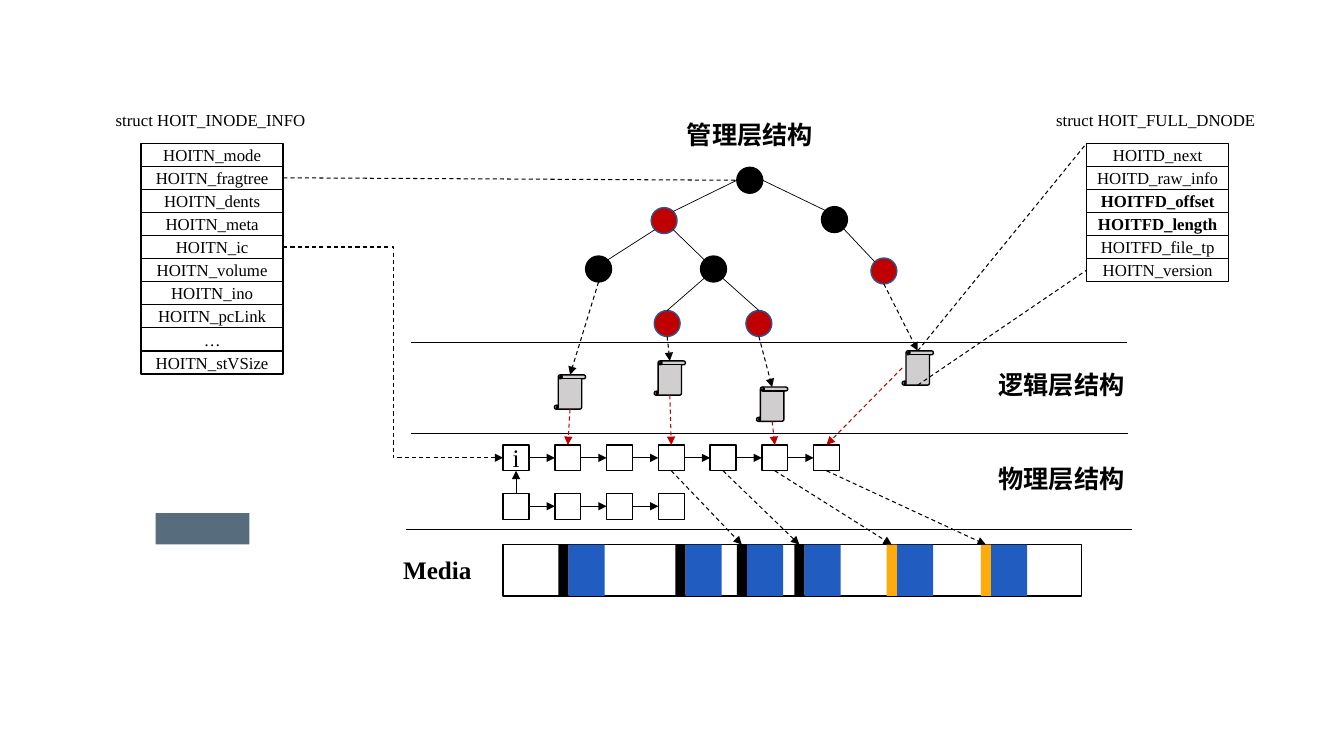
from dataclasses import dataclass

from lxml import etree
from pptx import Presentation
from pptx.dml.color import RGBColor
from pptx.enum.dml import MSO_LINE
from pptx.enum.shapes import MSO_CONNECTOR, MSO_SHAPE
from pptx.enum.text import MSO_ANCHOR, PP_ALIGN
from pptx.oxml.ns import qn
from pptx.util import Pt

RECTANGLE, OVAL, SCROLL = MSO_SHAPE.RECTANGLE, MSO_SHAPE.OVAL, MSO_SHAPE.VERTICAL_SCROLL
STRAIGHT, ELBOW = MSO_CONNECTOR.STRAIGHT, MSO_CONNECTOR.ELBOW
DASH = MSO_LINE.DASH
LEFT, CENTER = PP_ALIGN.LEFT, PP_ALIGN.CENTER
TOP, MIDDLE = MSO_ANCHOR.TOP, MSO_ANCHOR.MIDDLE


@dataclass(frozen=True)
class Theme:
    black: str = "000000"
    white: str = "FFFFFF"
    red: str = "C00000"
    red_outline: str = "325491"
    scroll: str = "D0CECE"
    data: str = "215CC1"
    gold: str = "FFAB0B"
    slate: str = "576D7E"
    serif: str = "Times New Roman"
    sans: str = "Noto Sans CJK SC"
    small: int = 12
    large: int = 18
    outline: float = 1
    dashed: float = 0.75
    thin: float = 0.5


THEME = Theme()

INODE_FIELDS = ["HOITN_mode", "HOITN_fragtree", "HOITN_dents", "HOITN_meta", "HOITN_ic",
                "HOITN_volume", "HOITN_ino", "HOITN_pcLink", "…", "HOITN_stVSize"]
DNODE_FIELDS = ["HOITD_next", "HOITD_raw_info", "HOITFD_offset", "HOITFD_length",
                "HOITFD_file_tp", "HOITN_version"]
BOLD_FIELDS = {"HOITFD_offset", "HOITFD_length"}
STRUCT_TITLES = [("struct HOIT_INODE_INFO", 75.6, 152), ("struct HOIT_FULL_DNODE", 747.4, 160)]
LAYER_TITLES = [("管理层结构", 481.7, 81.4), ("逻辑层结构", 704.2, 260.6), ("物理层结构", 704.2, 327.6)]
DIVIDERS = [(293.8, 805, 244.8), (293.8, 805.7, 309.6), (290.2, 808.6, 378)]

TREE_NODES = {
    "root": (526.3, 119.5, THEME.black),
    "left": (465.1, 148.3, THEME.red),
    "right": (586.8, 147.6, THEME.black),
    "left outer": (418.3, 182.9, THEME.black),
    "left inner": (500.4, 182.9, THEME.black),
    "right outer": (622.1, 184.3, THEME.red),
    "inner low": (467.3, 221.8, THEME.red),
    "inner high": (532.8, 221.8, THEME.red),
}
TREE_EDGES = [
    ("root", "left", "left", "top right"),
    ("root", "right", "right", "top left"),
    ("left", "bottom left", "left outer", "top right"),
    ("left", "bottom right", "left inner", "top left"),
    ("left inner", "bottom left", "inner low", "top"),
    ("left inner", "bottom right", "inner high", "top"),
    ("right", "bottom right", "right outer", "top left"),
]
SCROLLS = [
    ("left outer", 396, 267.8, 1, "bottom"),
    ("inner low", 467.3, 257.8, 3, "bottom"),
    ("inner high", 540.4, 276.5, 5, "bottom"),
    ("right outer", 644.4, 250.6, 6, "left"),
]
MEDIA_BLOCKS = [(398.9, THEME.black), (482.4, THEME.black), (526.3, THEME.black),
                (567.4, THEME.black), (633.4, THEME.gold), (700.6, THEME.gold)]
MEDIA_TARGETS = {3: 2, 4: 3, 5: 4, 6: 5}

FIELD_WIDTH, FIELD_HEIGHT, FIELD_TOP = 101.5, 16.48, 102.3
INODE_LEFT, DNODE_LEFT = 100.8, 776.2
NODE_SIZE = 18.5
CHAIN_LEFT, CHAIN_STEP = 359.4, 36.96
MEDIA_TOP, MEDIA_HEIGHT, HEADER_WIDTH = 389, 36.7, 7.2

SITES = {"top": 0, "left": 1, "bottom": 2, "right": 3}
ANCHORS = {
    "top": (0.5, 0), "left": (0, 0.5), "bottom": (0.5, 1), "right": (1, 0.5),
    "top left": (0.15, 0.15), "top right": (0.85, 0.15),
    "bottom left": (0.15, 0.85), "bottom right": (0.85, 0.85),
}

deck = Presentation()
deck.slide_width, deck.slide_height = Pt(960), Pt(540)
page = deck.slides.add_slide(deck.slide_layouts[6])


def write(box, text, size=THEME.small, font=THEME.serif, color=THEME.black, bold=False,
          align=CENTER, anchor=MIDDLE, inset=0):
    frame = box.text_frame
    frame.word_wrap = True
    frame.vertical_anchor = anchor
    frame.margin_left = frame.margin_right = Pt(inset)
    frame.margin_top = frame.margin_bottom = Pt(inset / 2)
    para = frame.paragraphs[0]
    para.alignment = align
    span = para.add_run()
    span.text = text
    span.font.size = Pt(size)
    span.font.bold = bold
    span.font.color.rgb = RGBColor.from_string(color)
    span.font.name = font
    etree.SubElement(span.font._element, qn("a:ea")).set("typeface", font)


def label(text, left, top, width, height, **style):
    box = page.shapes.add_textbox(Pt(left), Pt(top), Pt(width), Pt(height))
    write(box, text, anchor=TOP, inset=7.2, **style)


def draw(kind, left, top, width, height, fill=THEME.white, line=THEME.black):
    shape = page.shapes.add_shape(kind, Pt(left), Pt(top), Pt(width), Pt(height))
    shape.shadow.inherit = False
    shape.fill.solid()
    shape.fill.fore_color.rgb = RGBColor.from_string(fill)
    if line:
        shape.line.color.rgb = RGBColor.from_string(line)
        shape.line.width = Pt(THEME.outline)
    else:
        shape.line.fill.background()
    return shape


def anchor_point(shape, side):
    across, down = ANCHORS[side]
    return shape.left + int(shape.width * across), shape.top + int(shape.height * down)


def connect(start, end, kind=STRAIGHT, color=THEME.black, width=THEME.dashed,
            dashed=False, arrow=False):
    connector = page.shapes.add_connector(kind, *start, *end)
    connector.line.color.rgb = RGBColor.from_string(color)
    connector.line.width = Pt(width)
    if dashed:
        connector.line.dash_style = DASH
    if arrow:
        tail = etree.SubElement(connector.line._get_or_add_ln(), qn("a:tailEnd"))
        tail.set("type", "triangle")
    etree.SubElement(connector._element.spPr, qn("a:effectLst"))
    return connector


def link(source, source_side, target, target_side, **style):
    connector = connect(anchor_point(source, source_side), anchor_point(target, target_side), **style)
    if source.auto_shape_type != OVAL:
        connector.begin_connect(source, SITES[source_side])
    if target.auto_shape_type != OVAL:
        connector.end_connect(target, SITES[target_side])


def field_column(fields, left):
    boxes = {}
    for row, field in enumerate(fields):
        boxes[field] = draw(RECTANGLE, left, FIELD_TOP + row * FIELD_HEIGHT, FIELD_WIDTH, FIELD_HEIGHT)
        write(boxes[field], field, bold=field in BOLD_FIELDS)
    return boxes


def chain(count, top):
    boxes = [draw(RECTANGLE, CHAIN_LEFT + step * CHAIN_STEP, top, NODE_SIZE, NODE_SIZE)
             for step in range(count)]
    for source, target in zip(boxes, boxes[1:]):
        link(source, "right", target, "left", width=THEME.thin, arrow=True)
    return boxes


draw(RECTANGLE, 111.2, 366.5, 67, 22.3, fill=THEME.slate, line=None)
for text, left, width in STRUCT_TITLES:
    label(text, left, 74.9, width, 21.6, align=LEFT)
for text, left, top in LAYER_TITLES:
    label(text, left, top, 108, 29, size=THEME.large, font=THEME.sans, bold=True)
label("Media", 280.8, 392.4, 71.3, 29, size=THEME.large, bold=True, align=LEFT)
for left, right, height in DIVIDERS:
    connect((Pt(left), Pt(height)), (Pt(right), Pt(height)))

inode = field_column(INODE_FIELDS, INODE_LEFT)
dnode = field_column(DNODE_FIELDS, DNODE_LEFT)

draw(RECTANGLE, 359.4, MEDIA_TOP, 413.3, MEDIA_HEIGHT)
headers = []
for left, color in MEDIA_BLOCKS:
    draw(RECTANGLE, left + HEADER_WIDTH, MEDIA_TOP, 25.9, MEDIA_HEIGHT, fill=THEME.data, line=None)
    headers.append(draw(RECTANGLE, left, MEDIA_TOP, HEADER_WIDTH, MEDIA_HEIGHT, fill=color, line=None))

upper = chain(7, 317.8)
lower = chain(4, 352.4)
write(upper[0], "i", size=THEME.large)
link(lower[0], "top", upper[0], "bottom", width=THEME.thin, arrow=True)
link(inode["HOITN_ic"], "right", upper[0], "left", kind=ELBOW, dashed=True, arrow=True)
for step, block in MEDIA_TARGETS.items():
    link(upper[step], "bottom", headers[block], "top", dashed=True, arrow=True)

nodes = {}
for name, (left, top, color) in TREE_NODES.items():
    outline = THEME.red_outline if color == THEME.red else color
    nodes[name] = draw(OVAL, left, top, NODE_SIZE, NODE_SIZE, fill=color, line=outline)
for parent, parent_side, child, child_side in TREE_EDGES:
    link(nodes[parent], parent_side, nodes[child], child_side, width=THEME.thin)
link(inode["HOITN_fragtree"], "right", nodes["root"], "left", dashed=True)

for leaf, left, top, step, side in SCROLLS:
    scroll = draw(SCROLL, left, top, 22.3, 24.5, fill=THEME.scroll)
    link(nodes[leaf], "bottom", scroll, "top", dashed=True, arrow=True)
    link(scroll, side, upper[step], "top", color=THEME.red, dashed=True, arrow=True)

connect(anchor_point(scroll, "top"), (Pt(DNODE_LEFT), Pt(FIELD_TOP)), dashed=True)
link(scroll, "bottom", dnode["HOITN_version"], "left", dashed=True)

deck.save("out.pptx")
